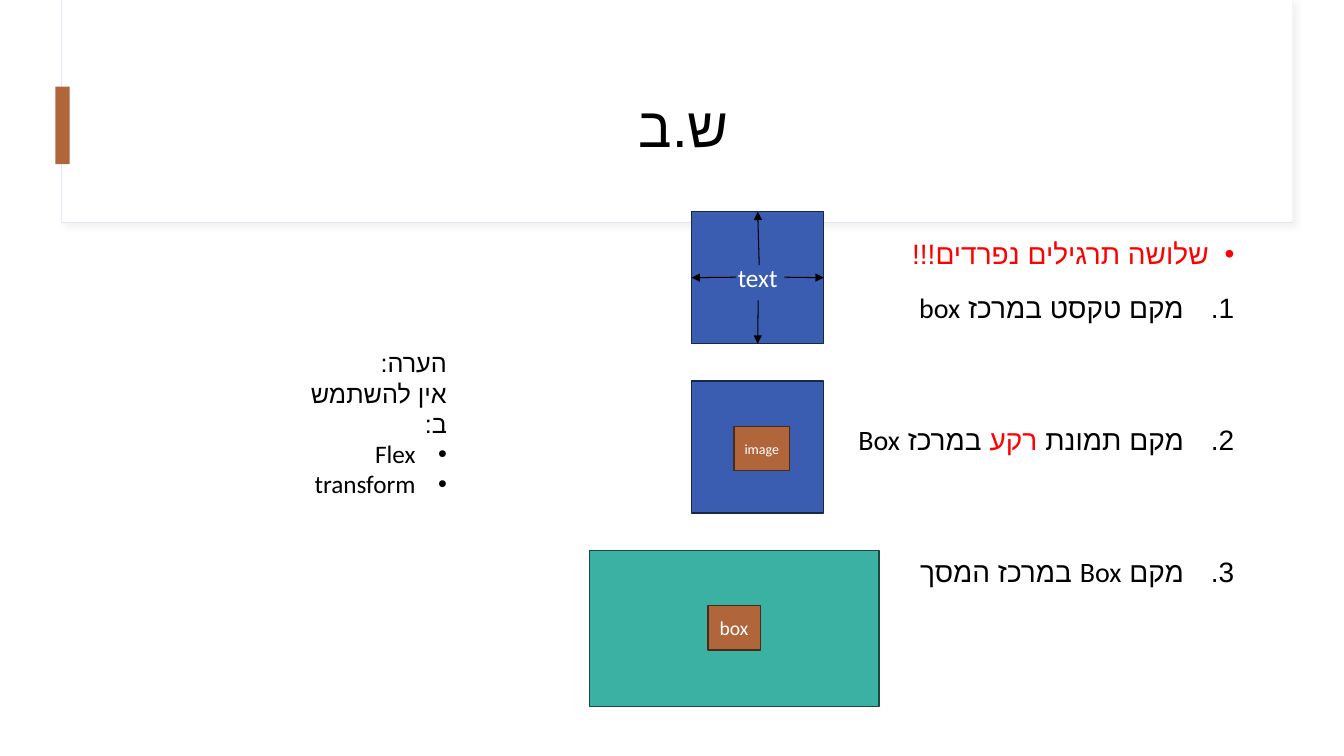
from lxml import etree
from pptx import Presentation
from pptx import util as u
from pptx.dml.color import RGBColor
from pptx.enum import shapes, text
from pptx.oxml.ns import qn

PX = 9144  # 100 px to the inch
COLORS = {
    "white": "FFFFFF", "black": "000000", "red": "FF0000",
    "header_edge": "E3E7F1", "header_shadow": "D8D8D8",
    "blue": "3B5DB1", "blue_edge": "18274A",
    "brown": "B1653B", "brown_edge": "4A2A18",
    "teal": "3BB1A3", "teal_edge": "184A44",
}
CENTER, RIGHT = text.PP_ALIGN.CENTER, text.PP_ALIGN.RIGHT


def px(*lengths):
    return [u.Emu(length * PX) for length in lengths]


def rgb(name):
    return RGBColor.from_string(COLORS[name])


def add_xml(parent, tag, **attributes):
    return etree.SubElement(parent, qn(tag), attributes)


def set_frame(frame, anchor):
    margins = {"margin_left": 10, "margin_right": 10, "margin_top": 5, "margin_bottom": 5}
    for side, length in margins.items():
        setattr(frame, side, u.Emu(length * PX))
    frame.word_wrap = True
    frame.vertical_anchor = anchor


def write(para, spans, size, align, font="Calibri", bullet=None, indent=0, **spacing):
    """Fill one right-to-left paragraph with (words, colour) spans; \\v breaks the line."""
    para.alignment = align
    for name, value in spacing.items():
        setattr(para, name, value)
    props = para._p.get_or_add_pPr()
    props.set("rtl", "1")
    if bullet:
        props.set("marL", str(indent * PX))
        props.set("indent", str(-indent * PX))
        bullet_color = add_xml(props, "a:buClr")
        add_xml(bullet_color, "a:srgbClr", val=COLORS[spans[0][1]])
        add_xml(props, "a:buFont", typeface="Arial")
        if bullet == "number":
            add_xml(props, "a:buAutoNum", type="arabicPeriod")
        else:
            add_xml(props, "a:buChar", char=bullet)
    for words, color in spans:
        if words == "\v":
            para.add_line_break()
            continue
        run = para.add_run()
        run.text = words
        for name, value in {"size": u.Pt(size), "name": font}.items():
            setattr(run.font, name, value)
        run.font.color.rgb = rgb(color)
        add_xml(run._r.get_or_add_rPr(), "a:cs", typeface="Arial")


def add_box(slide, at, fill, edge=None, width=1, label=None, size=18):
    box = slide.shapes.add_shape(shapes.MSO_SHAPE.RECTANGLE, *px(*at))
    box.shadow.inherit = False
    box.fill.solid()
    box.fill.fore_color.rgb = rgb(fill)
    if edge:
        box.line.color.rgb = rgb(edge)
        box.line.width = u.Pt(width)
    else:
        box.line.fill.background()
    if label:
        set_frame(box.text_frame, text.MSO_ANCHOR.MIDDLE)
        write(box.text_frame.paragraphs[0], [(label, "white")], size, CENTER)
    return box


def add_soft_shadow(box):
    effects = box._element.spPr.find(qn("a:effectLst"))
    shadow = add_xml(effects, "a:outerShdw", blurRad=str(u.Pt(4)), dist=str(u.Pt(3)),
                     dir="2700000", algn="tl", rotWithShape="0")
    color = add_xml(shadow, "a:srgbClr", val=COLORS["header_shadow"])
    add_xml(color, "a:alpha", val="30000")


def add_arrow(slide, start, box, side):
    arrow = slide.shapes.add_connector(shapes.MSO_CONNECTOR.STRAIGHT, *px(*start), *px(*start))
    arrow.end_connect(box, side)
    arrow.line.color.rgb = rgb("black")
    arrow.line.width = u.Pt(0.75)
    add_xml(arrow.line._get_or_add_ln(), "a:tailEnd", type="triangle")
    add_xml(arrow._element.spPr, "a:effectLst")


def add_text(slide, at, paragraphs):
    frame = slide.shapes.add_textbox(*px(*at)).text_frame
    set_frame(frame, text.MSO_ANCHOR.TOP)
    for index, paragraph in enumerate(paragraphs):
        para = frame.add_paragraph() if index else frame.paragraphs[0]
        write(para, align=RIGHT, **paragraph)
    return frame


def add_header(slide):
    card = add_box(slide, (61, 0, 1221, 221), "white", "header_edge", 0.75)
    add_soft_shadow(card)
    add_box(slide, (62, 0, 1220, 220), "white")
    add_box(slide, (55, 86, 14, 77), "brown")
    title = slide.shapes.title
    title.left, title.top, title.width, title.height = px(122, 60, 1112, 129)
    set_frame(title.text_frame, text.MSO_ANCHOR.MIDDLE)
    write(title.text_frame.paragraphs[0], [("ש.ב", "black")], 40, CENTER, "Arial")
    # Bring the title in front of the header card
    slide.shapes._spTree.append(title._element)


def add_exercises(slide):
    tasks = [
        (10, [("מקם טקסט במרכז box", "black")]),
        (66, [("מקם תמונת ", "black"), ("רקע", "red"), (" במרכז Box", "black")]),
        (66, [("מקם Box במרכז המסך", "black")]),
    ]
    common = {"size": 20, "line_spacing": 1.18}
    heading = dict(common, spans=[("שלושה תרגילים נפרדים!!!", "red")], bullet="•", indent=25)
    numbered = [dict(common, spans=spans, bullet="number", indent=50, space_before=u.Pt(gap))
                for gap, spans in tasks]
    add_text(slide, (122, 224, 1112, 454), [heading, *numbered])


def add_drawings(slide):
    # Exercise 1: text with arrows to the four sides
    text_box = add_box(slide, (686, 210, 131, 131), "blue", "blue_edge", label="text")
    starts = {0: (753, 263), 2: (752, 298), 1: (730, 275), 3: (778, 275)}
    for side, start in starts.items():
        add_arrow(slide, start, text_box, side)
    # Exercise 2: image in a box
    add_box(slide, (686, 378, 131, 131), "blue", "blue_edge")
    add_box(slide, (728, 423, 55, 44), "brown", "brown_edge", label="image", size=10)
    # Exercise 3: box on a screen
    add_box(slide, (585, 546, 287, 155), "teal", "teal_edge")
    add_box(slide, (702, 601, 52, 44), "brown", "brown_edge", label="box", size=14)


def add_note(slide):
    remark = [("הערה:", "black"), ("\v", "black"), ("אין להשתמש ב:", "black")]
    banned = [{"spans": [(word, "black")], "size": 18, "bullet": "•", "indent": 31}
              for word in ("Flex", "transform")]
    note = add_text(slide, (278, 340, 175, 131), [{"spans": remark, "size": 18}, *banned])
    note.auto_size = text.MSO_AUTO_SIZE.SHAPE_TO_FIT_TEXT


def main():
    deck = Presentation()
    deck.slide_width, deck.slide_height = px(1333, 750)
    slide = deck.slides.add_slide(deck.slide_layouts[5])
    add_header(slide)
    add_exercises(slide)
    add_drawings(slide)
    add_note(slide)
    deck.save("out.pptx")


if __name__ == "__main__":
    main()
